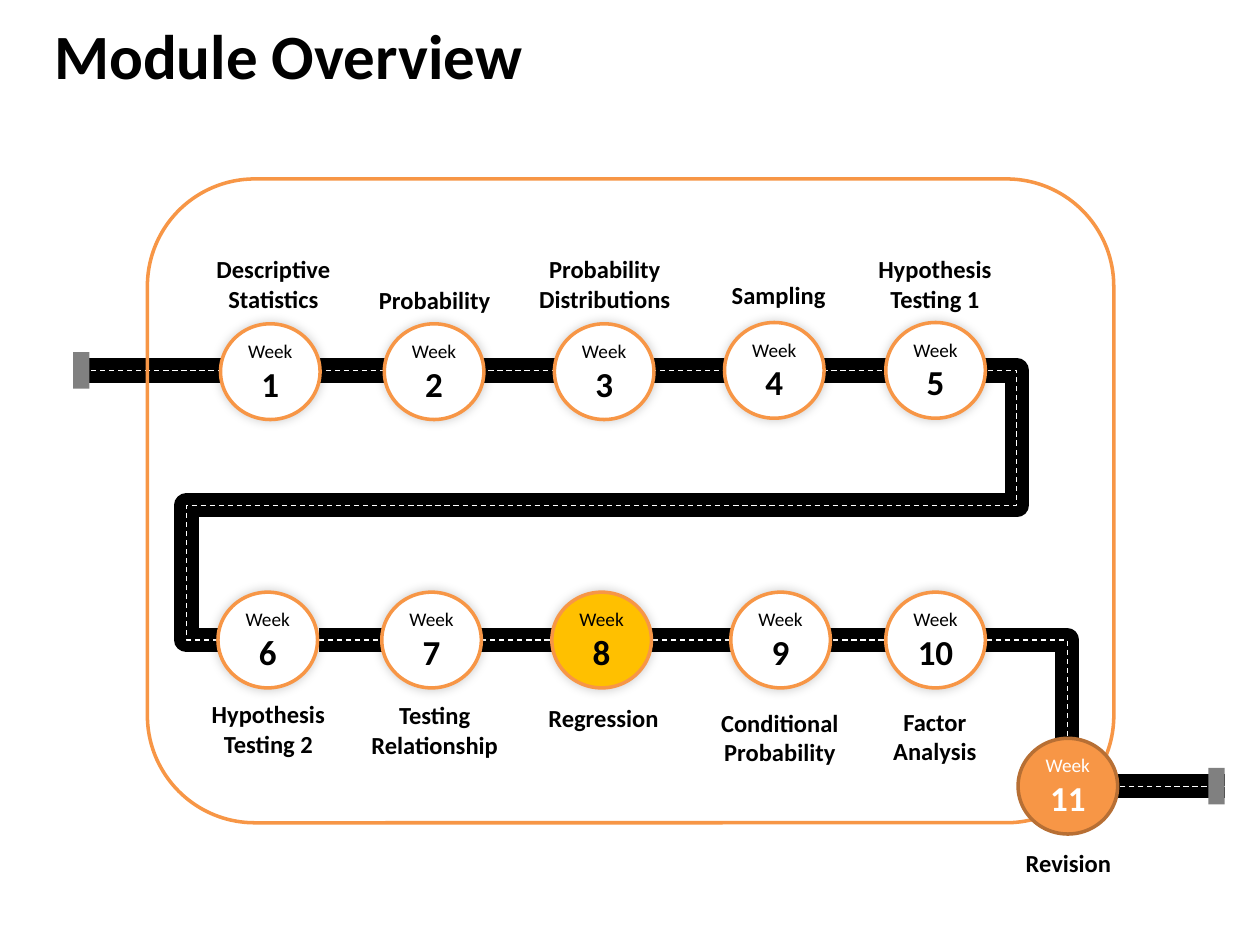
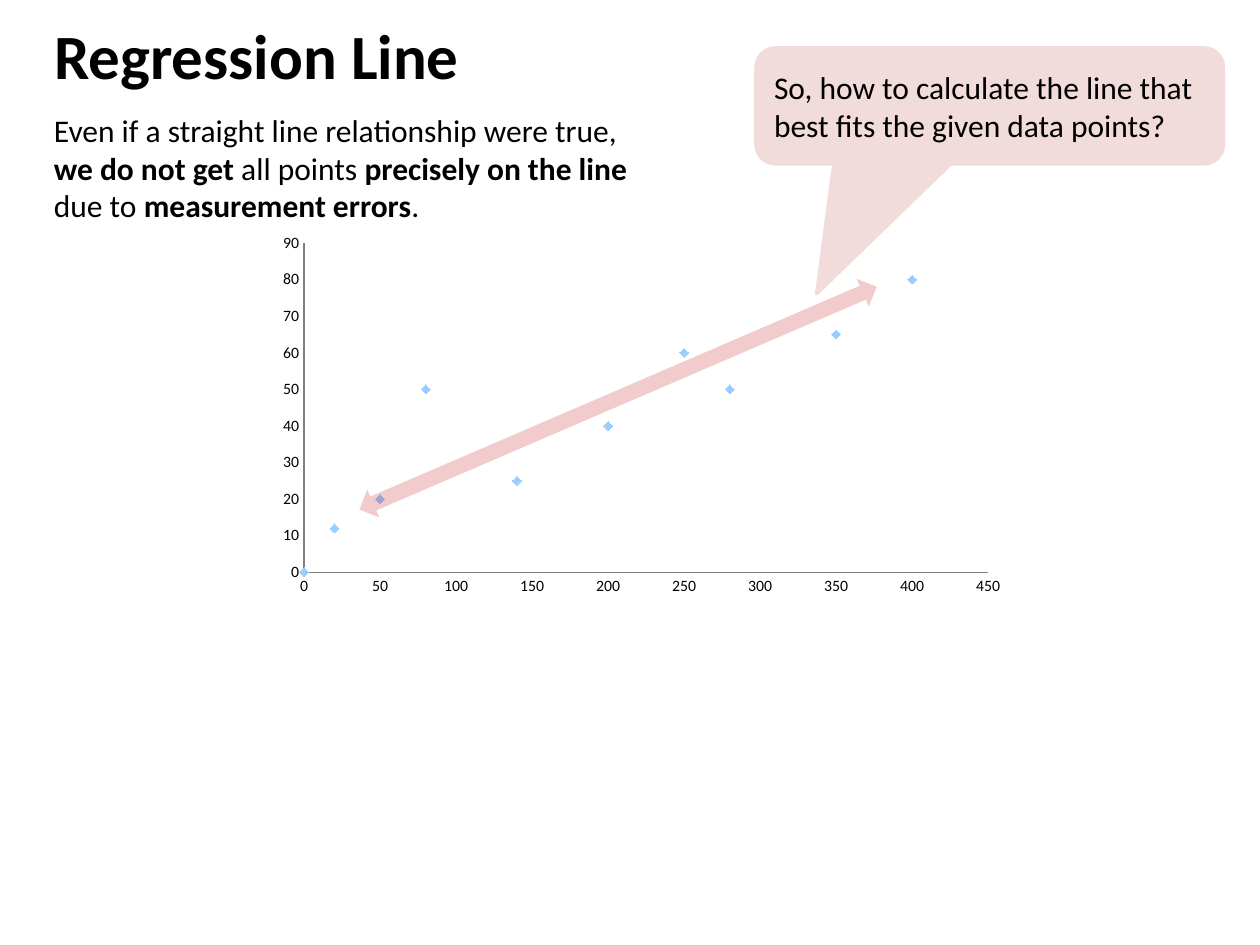
"""Build the module overview road map and the regression line slide."""
import dataclasses
import itertools

import lxml.etree
import pptx
import pptx.chart.data
import pptx.dml.color
import pptx.enum.chart
import pptx.enum.dml
import pptx.enum.shapes
import pptx.enum.text
import pptx.oxml.ns
import pptx.util

Inches = pptx.util.Inches
Pt = pptx.util.Pt
qn = pptx.oxml.ns.qn
SHAPE = pptx.enum.shapes.MSO_SHAPE
ALIGN = pptx.enum.text.PP_ALIGN
ANCHOR = pptx.enum.text.MSO_ANCHOR

FONT = "Calibri"
BLACK, WHITE, GREY = "000000", "FFFFFF", "808080"
ORANGE, DARK_ORANGE, GOLD = "F79646", "B76F34", "FFC000"
PINK, RED, LIGHT_BLUE = "F2DCDB", "C00000", "99CCFF"

MARGIN = 0.33
STOP_W, STOP_H = 0.79, 0.76
LABEL_W = 1.26
POST_W, POST_H = 0.13, 0.29
TOP_ROAD, MIDDLE_ROAD, BOTTOM_ROAD, EXIT_ROAD = 2.94, 4.01, 5.08, 6.24
ROAD_START, ROAD_END = 0.58, 9.72


@dataclasses.dataclass
class Week:
    number: int
    left: float
    top: float
    label: str
    label_center: float
    label_top: float
    fill: str = WHITE
    line: str = ORANGE
    ink: str = BLACK
    shadow: bool = True


WEEKS = [
    Week(1, 1.75, 2.57, "Descriptive\nStatistics", 2.17, 1.97),
    Week(2, 3.05, 2.57, "Probability", 3.45, 2.21),
    Week(3, 4.40, 2.57, "Probability\nDistributions", 4.80, 1.97),
    Week(4, 5.75, 2.56, "Sampling", 6.18, 2.17),
    Week(5, 7.03, 2.56, "Hypothesis\nTesting 1", 7.42, 1.97),
    Week(6, 1.73, 4.70, "Hypothesis\nTesting 2", 2.13, 5.50),
    Week(7, 3.03, 4.70, "Testing\nRelationship", 3.45, 5.51),
    Week(8, 4.38, 4.70, "Regression", 4.79, 5.53, fill=GOLD),
    Week(9, 5.80, 4.70, "Conditional\nProbability", 6.19, 5.57),
    Week(10, 7.03, 4.70, "Factor\nAnalysis", 7.42, 5.56),
    Week(11, 8.08, 5.86, "Revision", 8.48, 6.68, ORANGE, DARK_ORANGE, WHITE, False),
]

BENT_ROADS = [
    [(1.73, BOTTOM_ROAD), (1.48, BOTTOM_ROAD), (1.48, MIDDLE_ROAD),
     (8.07, MIDDLE_ROAD), (8.07, TOP_ROAD), (7.82, TOP_ROAD)],
    [(2.53, BOTTOM_ROAD), (8.47, BOTTOM_ROAD), (8.47, 5.86)],
]

POINTS = [(0, 0), (20, 12), (50, 20), (80, 50), (140, 25),
          (200, 40), (250, 60), (280, 50), (350, 65), (400, 80)]

INTRO = [("Even if a straight line relationship were true, ", False),
         ("we do not get", True), (" all points ", False),
         ("precisely on the line", True), (" due to ", False),
         ("measurement errors", True), (".", False)]


def rgb(color: str) -> pptx.dml.color.RGBColor:
    return pptx.dml.color.RGBColor.from_string(color)


def style_font(font, size: float, color: str = BLACK, bold: bool = False) -> None:
    font.name = FONT
    font.size = Pt(size)
    font.bold = bold
    font.color.rgb = rgb(color)


def style_line(line, color: str, width: float, dashed: bool = False) -> None:
    line.color.rgb = rgb(color)
    line.width = Pt(width)
    if dashed:
        line.dash_style = pptx.enum.dml.MSO_LINE.DASH


def add_shadow(effects, alpha: int, blur: float, distance: float = 0) -> None:
    shadow = lxml.etree.SubElement(
        effects, qn("a:outerShdw"), blurRad=str(Pt(blur)),
        dist=str(Pt(distance)), dir="0", algn="tl", rotWithShape="0")
    color = lxml.etree.SubElement(shadow, qn("a:srgbClr"), val=BLACK)
    lxml.etree.SubElement(color, qn("a:alpha"), val=str(alpha * 1000))


def add_box(slide, kind, left: float, top: float, width: float, height: float,
            fill: str | None = None, line: str | None = None):
    sp = slide.shapes.add_shape(kind, Inches(left), Inches(top), Inches(width), Inches(height))
    sp.shadow.inherit = False
    if fill:
        sp.fill.solid()
        sp.fill.fore_color.rgb = rgb(fill)
    else:
        sp.fill.background()
    if line:
        style_line(sp.line, line, 2)
    else:
        sp.line.fill.background()
    return sp


def add_text(slide, left: float, top: float, width: float, height: float):
    box = slide.shapes.add_textbox(Inches(left), Inches(top), Inches(width), Inches(height))
    box.text_frame.word_wrap = True
    return box.text_frame


def add_titled_slide(prs, title: str, height: float):
    slide = prs.slides.add_slide(prs.slide_layouts.get_by_name("Title Only"))
    sp = slide.shapes.title
    sp.left, sp.top = Inches(MARGIN), Inches(0.08)
    sp.width, sp.height = Inches(9), Inches(height)
    tf = sp.text_frame
    tf.text = title
    tf.vertical_anchor = ANCHOR.TOP
    p = tf.paragraphs[0]
    p.alignment = ALIGN.LEFT
    style_font(p.runs[0].font, 36, bold=True)
    return slide


def add_straight_road(slide, start: float, end: float, y: float) -> list:
    lanes = []
    for color, width, dashed in ((BLACK, 14, False), (WHITE, 0.75, True)):
        lane = slide.shapes.add_connector(
            pptx.enum.shapes.MSO_CONNECTOR.STRAIGHT,
            Inches(start), Inches(y), Inches(end), Inches(y))
        style_line(lane.line, color, width, dashed)
        lxml.etree.SubElement(lane._element.spPr, qn("a:effectLst"))
        lanes.append(lane)
    return lanes


def add_bent_road(slide, corners: list[tuple[float, float]]) -> None:
    points = [(Inches(x), Inches(y)) for x, y in corners]
    for color, width, dashed in ((BLACK, 14, False), (WHITE, 0.75, True)):
        builder = slide.shapes.build_freeform(*points[0])
        builder.add_line_segments(points[1:], close=False)
        sp = builder.convert_to_shape()
        sp.shadow.inherit = False
        sp.fill.background()
        style_line(sp.line, color, width, dashed)


def add_post(slide, left: float, y: float):
    return add_box(slide, SHAPE.RECTANGLE, left, y - POST_H / 2, POST_W, POST_H, GREY)


def add_week(slide, week: Week) -> None:
    sp = add_box(slide, SHAPE.OVAL, week.left, week.top, STOP_W, STOP_H, week.fill, week.line)
    if week.shadow:
        add_shadow(sp._element.spPr.find(qn("a:effectLst")), 20, 6)
    tf = sp.text_frame
    tf.margin_left = tf.margin_right = tf.margin_top = tf.margin_bottom = 0
    tf.vertical_anchor = ANCHOR.MIDDLE
    tf.text = f"Week\n{week.number}"
    for p, size, bold in zip(tf.paragraphs, (11, 20), (False, True)):
        p.alignment = ALIGN.CENTER
        style_font(p.runs[0].font, size, week.ink, bold)

    lines = week.label.count("\n") + 1
    tf = add_text(slide, week.label_center - LABEL_W / 2, week.label_top,
                  LABEL_W, 0.1 + 0.235 * lines)
    tf.margin_left = tf.margin_right = 0
    tf.text = week.label
    for p in tf.paragraphs:
        p.alignment = ALIGN.CENTER
        r = p.runs[0]
        style_font(r.font, 14, bold=True)
        effects = lxml.etree.Element(qn("a:effectLst"))
        r._r.rPr.find(qn("a:solidFill")).addnext(effects)
        add_shadow(effects, 40, 4, 3)


def build_overview(prs) -> None:
    slide = add_titled_slide(prs, "Module Overview", 0.95)
    entry = add_straight_road(slide, ROAD_START, WEEKS[4].left, TOP_ROAD)
    way_out = add_straight_road(slide, ROAD_END, WEEKS[10].left + STOP_W, EXIT_ROAD)
    for corners in BENT_ROADS:
        add_bent_road(slide, corners)
    add_box(slide, SHAPE.ROUNDED_RECTANGLE, 1.17, 1.42, 7.67, 5.11, line=ORANGE)
    start_post = add_post(slide, ROAD_START, TOP_ROAD)
    end_post = add_post(slide, ROAD_END - POST_W, EXIT_ROAD)
    for lane in entry:
        lane.begin_connect(start_post, 1)
    for lane in way_out:
        lane.begin_connect(end_post, 3)
    for week in WEEKS:
        add_week(slide, week)


def set_plot_area(chart, x: float, y: float, w: float, h: float) -> None:
    plot_area = chart._chartSpace.chart.plotArea
    for old in plot_area.findall(qn("c:layout")):
        plot_area.remove(old)
    layout = lxml.etree.Element(qn("c:layout"))
    plot_area.insert(0, layout)
    manual = lxml.etree.SubElement(layout, qn("c:manualLayout"))
    settings = itertools.chain(
        [("layoutTarget", "inner"), ("xMode", "edge"), ("yMode", "edge")],
        zip("xywh", (x, y, w, h)))
    for tag, value in settings:
        lxml.etree.SubElement(manual, qn(f"c:{tag}"), val=str(value))


def add_scatter(slide) -> None:
    data = pptx.chart.data.XyChartData()
    series = data.add_series("Series 1")
    for x, y in POINTS:
        series.add_data_point(x, y)
    chart = slide.shapes.add_chart(
        pptx.enum.chart.XL_CHART_TYPE.XY_SCATTER,
        Inches(1.92), Inches(1.75), Inches(6.17), Inches(3.58), data).chart
    chart.has_legend = False
    chart.has_title = False
    style_font(chart.font, 9)
    set_plot_area(chart, 0.08, 0.05, 0.88, 0.73)
    for axis, top, step in ((chart.category_axis, 450, 50), (chart.value_axis, 90, 10)):
        axis.minimum_scale, axis.maximum_scale, axis.major_unit = 0, top, step
        axis.has_major_gridlines = False
        axis.major_tick_mark = pptx.enum.chart.XL_TICK_MARK.NONE
        axis.minor_tick_mark = pptx.enum.chart.XL_TICK_MARK.NONE
        style_line(axis.format.line, GREY, 0.75)
    plot = chart.plots[0]
    plot.vary_by_categories = False
    dots = plot.series[0]
    dots.format.line.fill.background()
    dots.marker.style = pptx.enum.chart.XL_MARKER_STYLE.DIAMOND
    dots.marker.size = 5
    dots.marker.format.fill.solid()
    dots.marker.format.fill.fore_color.rgb = rgb(LIGHT_BLUE)
    dots.marker.format.line.fill.background()


def build_regression(prs) -> None:
    slide = add_titled_slide(prs, "Regression Line", 1.25)
    add_scatter(slide)

    arrow = add_box(slide, SHAPE.LEFT_RIGHT_ARROW, 2.67, 3.04, 4.47, 0.24, RED)
    arrow.rotation = 336.7
    color = arrow._element.spPr.find(qn("a:solidFill"))[0]
    lxml.etree.SubElement(color, qn("a:alpha"), val="20000")

    callout = add_box(slide, SHAPE.ROUNDED_RECTANGULAR_CALLOUT, 6, 0.38, 3.71, 0.92, PINK, PINK)
    callout.adjustments[0], callout.adjustments[1] = -0.37, 1.62
    tf = callout.text_frame
    tf.vertical_anchor = ANCHOR.MIDDLE
    tf.text = "So, how to calculate the line that best fits the given data points?"
    p = tf.paragraphs[0]
    p.alignment = ALIGN.LEFT
    style_font(p.runs[0].font, 18)

    p = add_text(slide, MARGIN, 0.83, 5, 1.01).paragraphs[0]
    for text, bold in INTRO:
        r = p.add_run()
        r.text = text
        style_font(r.font, 18, bold=bold)


def main() -> None:
    prs = pptx.Presentation()
    prs.slide_width, prs.slide_height = Inches(10), Inches(7.5)
    build_overview(prs)
    build_regression(prs)
    prs.save("out.pptx")


if __name__ == "__main__":
    main()
